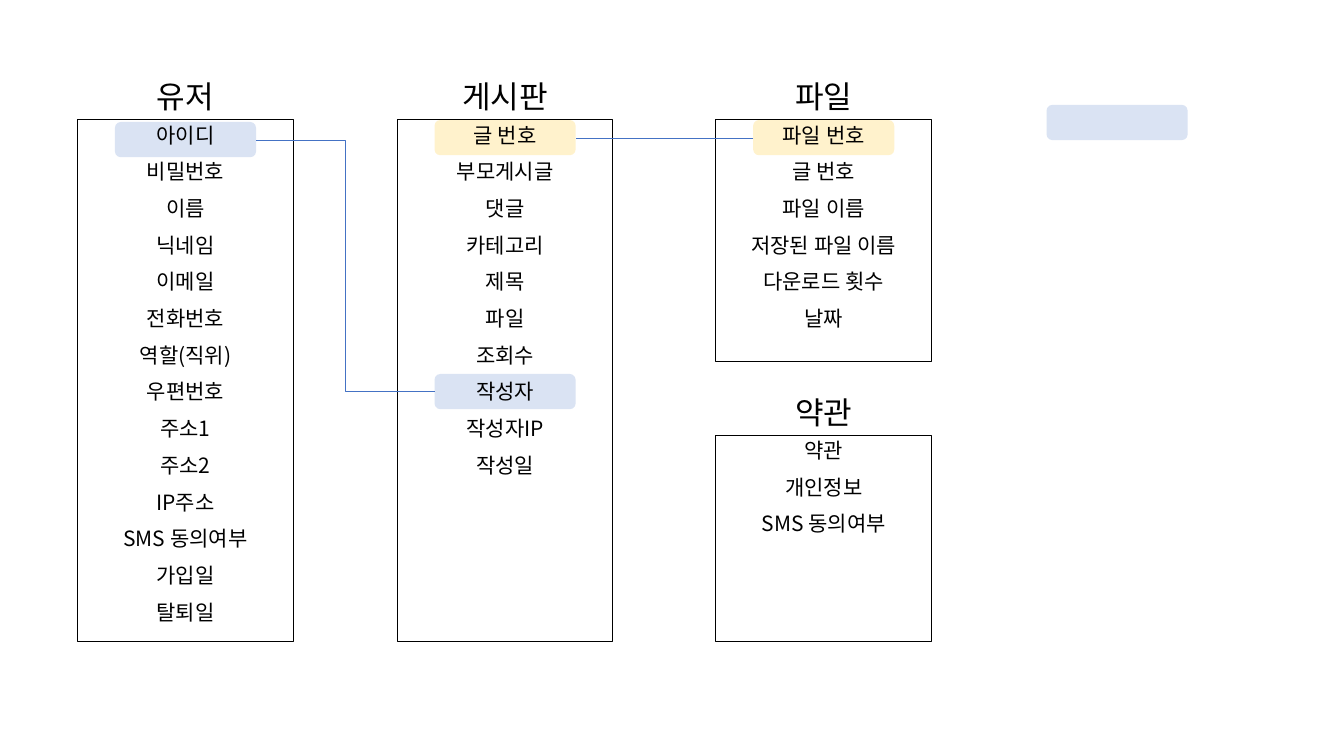
from typing import NamedTuple

from lxml.etree import SubElement
from pptx import Presentation
from pptx.dml.color import RGBColor as RGB
from pptx.enum.shapes import MSO_CONNECTOR as CONN, MSO_SHAPE as SHAPE
from pptx.enum.text import MSO_ANCHOR as ANCHOR, PP_ALIGN as ALIGN
from pptx.oxml.ns import qn
from pptx.util import Inches, Pt

FONT = "Noto Sans CJK KR"
COLORS = {
    "text": "000000",
    "border": "000000",
    "link": "4472C4",
    "blue": "DAE3F3",
    "yellow": "FFF2CC",
}
BOX_W, TITLE_H = 2.14, 0.4
KEY_W, KEY_H = 1.4, 0.35
USER_X, BOARD_X, FILE_X = 0.77, 3.94, 7.1
TOP, BOTTOM = 1.19, 6.36
KEY_DX = 0.37


class Entity(NamedTuple):
    title: str
    x: float
    y: float
    h: float
    fields: list[str]


class Key(NamedTuple):
    x: float
    y: float
    color: str


class Link(NamedTuple):
    x1: float
    y1: float
    x2: float
    y2: float


ENTITIES = [
    Entity("유저", USER_X, TOP, BOTTOM - TOP, [
        "아이디", "비밀번호", "이름", "닉네임", "이메일", "전화번호", "역할(직위)",
        "우편번호", "주소1", "주소2", "IP주소", "SMS 동의여부", "가입일", "탈퇴일"]),
    Entity("게시판", BOARD_X, TOP, BOTTOM - TOP, [
        "글 번호", "부모게시글", "댓글", "카테고리", "제목", "파일", "조회수",
        "작성자", "작성자IP", "작성일"]),
    Entity("파일", FILE_X, TOP, 2.4, [
        "파일 번호", "글 번호", "파일 이름", "저장된 파일 이름", "다운로드 횟수", "날짜"]),
    Entity("약관", FILE_X, 4.32, BOTTOM - 4.32, ["약관", "개인정보", "SMS 동의여부"]),
]
KEYS = [
    Key(BOARD_X + KEY_DX, TOP, "yellow"),
    Key(FILE_X + KEY_DX, TOP, "yellow"),
    Key(USER_X + KEY_DX, 1.21, "blue"),
    Key(BOARD_X + KEY_DX, 3.71, "blue"),
    Key(10.38, 1.04, "blue"),
]
LINKS = [
    Link(USER_X + KEY_DX + KEY_W, 1.39, BOARD_X + KEY_DX, 3.88),
    Link(FILE_X + KEY_DX, 1.37, BOARD_X + KEY_DX + KEY_W, 1.37),
]


def rgb(name: str) -> RGB:
    return RGB.from_string(COLORS[name])


def write(tf, lines: list[str], *, size: float, spacing: float, anchor: ANCHOR) -> None:
    tf.word_wrap = True
    tf.vertical_anchor = anchor
    for i, line in enumerate(lines):
        p = tf.add_paragraph() if i else tf.paragraphs[0]
        p.alignment = ALIGN.CENTER
        p.line_spacing = spacing
        p.space_before = Pt(10)
        r = p.add_run()
        r.text = line
        r.font.size = Pt(size)
        r.font.name = FONT
        r.font.color.rgb = rgb("text")
        SubElement(r.font._element, qn("a:ea"), typeface=FONT)


def draw_key(slide, key: Key) -> None:
    sp = slide.shapes.add_shape(SHAPE.ROUNDED_RECTANGLE, Inches(key.x), Inches(key.y),
                                Inches(KEY_W), Inches(KEY_H))
    sp.shadow.inherit = False
    sp.fill.solid()
    sp.fill.fore_color.rgb = rgb(key.color)
    sp.line.fill.background()


def draw_entity(slide, entity: Entity) -> None:
    sp = slide.shapes.add_shape(SHAPE.RECTANGLE, Inches(entity.x), Inches(entity.y),
                                Inches(BOX_W), Inches(entity.h))
    sp.shadow.inherit = False
    sp.fill.background()
    sp.line.color.rgb = rgb("border")
    sp.line.width = Pt(0.75)
    write(sp.text_frame, entity.fields, size=15, spacing=0.9, anchor=ANCHOR.TOP)

    title = slide.shapes.add_textbox(Inches(entity.x), Inches(entity.y - TITLE_H),
                                     Inches(BOX_W), Inches(TITLE_H))
    write(title.text_frame, [entity.title], size=22.2, spacing=0.8, anchor=ANCHOR.MIDDLE)


def draw_link(slide, link: Link) -> None:
    cx = slide.shapes.add_connector(CONN.ELBOW, Inches(link.x1), Inches(link.y1),
                                    Inches(link.x2), Inches(link.y2))
    cx.line.color.rgb = rgb("link")
    cx.line.width = Pt(0.5)
    SubElement(cx._element.spPr, qn("a:effectLst"))


def main() -> None:
    prs = Presentation()
    prs.slide_width, prs.slide_height = Inches(13.33), Inches(7.5)
    slide = prs.slides.add_slide(prs.slide_layouts[6])
    for key in KEYS:
        draw_key(slide, key)
    for entity in ENTITIES:
        draw_entity(slide, entity)
    for link in LINKS:
        draw_link(slide, link)
    prs.save("out.pptx")


if __name__ == "__main__":
    main()
